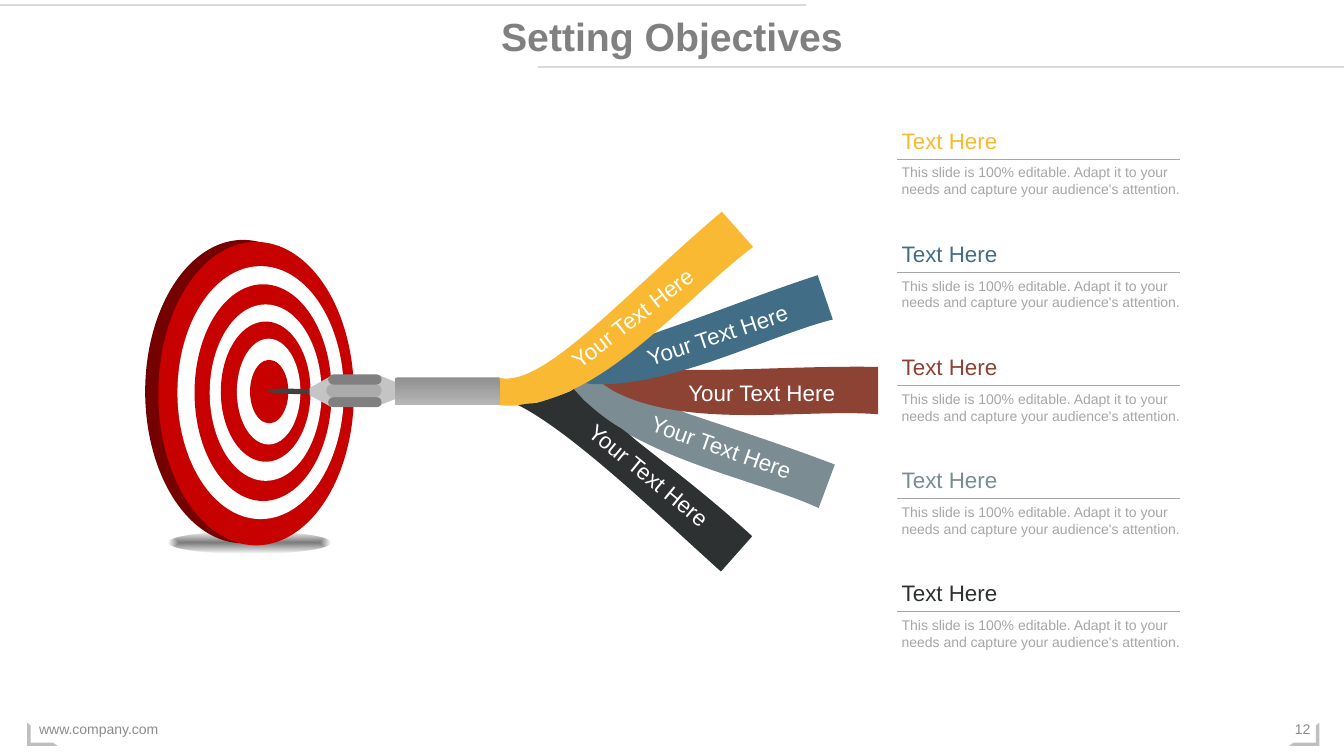
"""Build the Setting Objectives slide on a grid of 1333 columns by 750 rows."""
from lxml import etree
from pptx import Presentation, util as u
from pptx.dml.color import RGBColor
from pptx.enum import shapes as s, text as t
from pptx.oxml.ns import qn

COLUMNS, ROWS = 1333, 750
CELL = u.Inches(0.01)
RED, WHITE, STEEL = "C70000", "FFFFFF", "C4C4C4"
YELLOW, BLUE, BROWN, GREY, BLACK = "F9B932", "416E86", "8D4334", "7B8C93", "2E3131"
BODY = "This slide is 100% editable. Adapt it to your needs and capture your audience's attention."

RINGS = [
    ((144, 238, 194, 301), "740000"),
    ((157, 240, 194, 301), RED),
    ((176, 264, 165, 251), WHITE),
    ((193, 282, 136, 215), RED),
    ((208, 302, 111, 175), WHITE),
    ((219, 319, 89, 139), RED),
    ((235, 336, 63, 105), WHITE),
    ((248, 357, 38, 63), RED),
]

DART = [
    ("404040", [(307, 391), (307, 386), (289, 386, 273, 384, 264, 388),
                (272, 391, 292, 391, 307, 391)]),
    (STEEL, [(329, 404), (330, 372), (307, 385), (307, 392)]),
    (STEEL, [(392, 396), (392, 379), (378, 373), (376, 372, 375, 371, 373, 372),
             (372, 404), (376, 404, 378, 402, 379, 401)]),
]
FLIGHTS = [
    ((325.5, 394, 53, 10), "808080"),
    ((323.5, 381, 55, 13), "ABABAB"),
    ((325.5, 371.5, 53, 10), "808080"),
]

RIBBONS = [
    (GREY, [(577, 348), (553, 361), (592, 448, 737, 470, 812, 504), (828, 461),
            (776, 441, 725, 425, 681, 410), (674, 407), (670, 404),
            (647, 401, 629, 395, 610, 385), (600, 379), (601, 381), (611, 380),
            (605, 377), (590, 368, 580, 359, 577, 348)],
     (626, 425, 179, 37), 19.4),
    (BROWN, [(871, 364), (808, 363, 746, 367, 697, 367), (680, 367),
             (661, 368, 621, 375, 601, 381), (598, 381), (607, 387),
             (680, 427, 799, 405, 871, 411)],
     (663, 371, 185, 37), 0),
    (BLUE, [(811, 273), (759, 290, 709, 310, 665, 325), (648, 331), (631, 343),
            (615, 356, 600, 365, 583, 379), (581, 380), (586, 381),
            (665, 385, 762, 333, 826, 317)],
     (622, 314, 179, 37), 341.4),
    (YELLOW, [(716, 210), (620, 291, 540, 384, 496, 375), (496, 402),
              (590, 410, 680, 294, 747, 245)],
     (531, 297, 192, 37), 322),
    (BLACK, [(569, 386), (566, 388), (554, 393, 543, 397, 531, 400),
             (526, 400, 520, 401, 514, 402), (516, 403),
             (570, 431, 656, 514, 715, 567), (746, 532),
             (706, 495, 665, 464, 631, 437), (624, 431), (616, 425),
             (602, 417, 590, 407, 579, 397)],
     (554, 453, 179, 37), 39.46),
]


def rgb(color):
    """Turn a hex string into a colour."""
    return RGBColor.from_string(color)


def cells(*counts):
    """Turn counts of grid cells into lengths."""
    return [u.Emu(round(count * CELL)) for count in counts]


def finish(shape, color=None):
    """Remove line and shadow and fill with one colour if given."""
    shape.shadow.inherit = False
    shape.line.fill.background()
    if color:
        shape.fill.solid()
        shape.fill.fore_color.rgb = rgb(color)
    return shape


def add_preset(slide, kind, box, color=None):
    """Add a plain preset shape."""
    return finish(slide.shapes.add_shape(kind, *cells(*box)), color)


def add_gradient(shape, first, last):
    """Fill a shape with a gradient of two colours."""
    shape.fill.gradient()
    for stop, color in zip(shape.fill.gradient_stops, (first, last)):
        stop.color.rgb = rgb(color)


def add_outline(slide, color, steps):
    """Add a closed outline whose six-number steps are cubic curves."""
    start, *others = [cells(*step[-2:]) for step in steps]
    builder = slide.shapes.build_freeform(*start)
    builder.add_line_segments(others, close=True)
    outline = finish(builder.convert_to_shape(), color)
    segments = list(outline._element.iter(qn("a:lnTo")))
    for segment, step in zip(segments, steps[1:]):
        if len(step) == 6:
            curve = etree.Element(qn("a:cubicBezTo"))
            for i in (0, 2, 4):
                x, y = cells(*step[i:i + 2])
                etree.SubElement(curve, qn("a:pt"), x=str(x - outline.left), y=str(y - outline.top))
            segment.getparent().replace(segment, curve)


def add_text(slide, wording, box, size, color, align=t.PP_ALIGN.LEFT,
             anchor=t.MSO_ANCHOR.TOP, bold=False, angle=0, fit=t.MSO_AUTO_SIZE.SHAPE_TO_FIT_TEXT):
    """Add a wrapped one-paragraph text box."""
    holder = slide.shapes.add_textbox(*cells(*box))
    holder.rotation = angle
    frame = holder.text_frame
    frame.word_wrap, frame.vertical_anchor, frame.auto_size = True, anchor, fit
    paragraph = frame.paragraphs[0]
    paragraph.text, paragraph.alignment = wording, align
    font = paragraph.font
    font.name, font.size, font.bold = "Arial", u.Pt(size), bold
    font.color.rgb = rgb(color)


def add_rule(slide, left, right, row, color, weight):
    """Add a horizontal rule."""
    rule = slide.shapes.add_connector(s.MSO_CONNECTOR.STRAIGHT, *cells(left, row, right, row))
    rule.line.color.rgb, rule.line.width = rgb(color), u.Pt(weight)
    etree.SubElement(rule._element.spPr, qn("a:effectLst"))


def add_frame(slide):
    """Add the rules around the title and the footer."""
    add_rule(slide, 0, COLUMNS * 0.6, 5, "D9D9D9", 1.5)
    add_rule(slide, COLUMNS * 0.4, COLUMNS, 66.5, "D9D9D9", 1.5)
    for left, mirrored in ((1278.5, False), (27, True)):
        corner = add_preset(slide, s.MSO_SHAPE.HALF_FRAME, (left, 717, 30, 23), "BFBFBF")
        corner.adjustments[0], corner.adjustments[1] = 0.14, 0.15
        corner.rotation = 180
        if mirrored:
            corner._element.spPr.xfrm.set("flipH", "1")
    for wording, box, align in (
        ("www.company.com", (29, 703, 450, 40), t.PP_ALIGN.LEFT),
        ("12", (1267.5, 703, 42, 40), t.PP_ALIGN.RIGHT),
    ):
        add_text(slide, wording, box, 10, "8C8C8C", align, t.MSO_ANCHOR.MIDDLE,
                 fit=t.MSO_AUTO_SIZE.NONE)


def add_ground_shadow(slide):
    """Add the soft ellipse under the target."""
    ground = add_preset(slide, s.MSO_SHAPE.OVAL, (167, 527.5, 161, 22))
    add_gradient(ground, "0D0D0D", "000000")
    gradient = ground._element.spPr.find(qn("a:gradFill"))
    for tone, alpha in zip(gradient.iter(qn("a:srgbClr")), ("54000", "0")):
        etree.SubElement(tone, qn("a:alpha"), val=alpha)
    radial = etree.Element(qn("a:path"), path="shape")
    etree.SubElement(radial, qn("a:fillToRect"), l="50000", t="50000", r="50000", b="50000")
    gradient.replace(gradient.find(qn("a:lin")), radial)


def add_target(slide):
    """Add the target and the dart stuck in it."""
    add_ground_shadow(slide)
    for box, color in RINGS:
        add_preset(slide, s.MSO_SHAPE.OVAL, box, color)
    for color, steps in DART:
        add_outline(slide, color, steps)
    for box, color in FLIGHTS:
        flight = add_preset(slide, s.MSO_SHAPE.ROUNDED_RECTANGLE, box, color)
        flight.adjustments[0] = 0.5
    shaft = add_preset(slide, s.MSO_SHAPE.ROUND_2_SAME_RECTANGLE, (430, 336, 27, 104))
    shaft.adjustments[0] = 0.09
    shaft.rotation = 270
    add_gradient(shaft, "909090", "B6B6B6")
    shaft.fill.gradient_angle = 180


def add_objective(slide, row, color):
    """Add a heading, its description and the rule between them."""
    add_text(slide, "Text Here", (884.5, row, 181, 37), 16, color)
    add_text(slide, BODY, (884.5, row + 36.7, 304, 44), 10, "A6A6A6")
    add_rule(slide, 890, 1170.5, row + 37, "A6A6A6", 0.5)


def main():
    """Build and save the slide."""
    deck = Presentation()
    deck.slide_width, deck.slide_height = cells(COLUMNS, ROWS)
    slide = deck.slides.add_slide(deck.slide_layouts[6])
    add_frame(slide)
    add_target(slide)
    for color, steps, box, angle in RIBBONS:
        add_outline(slide, color, steps)
        add_text(slide, "Your Text Here", box, 16, WHITE, t.PP_ALIGN.CENTER, angle=angle)
    for index, color in enumerate((YELLOW, BLUE, BROWN, GREY, BLACK)):
        add_objective(slide, 121 + 112.25 * index, color)
    add_text(slide, "Setting Objectives", (0, 7, COLUMNS, 57), 28, "808080",
             t.PP_ALIGN.CENTER, bold=True)
    deck.save("out.pptx")


if __name__ == "__main__":
    main()
